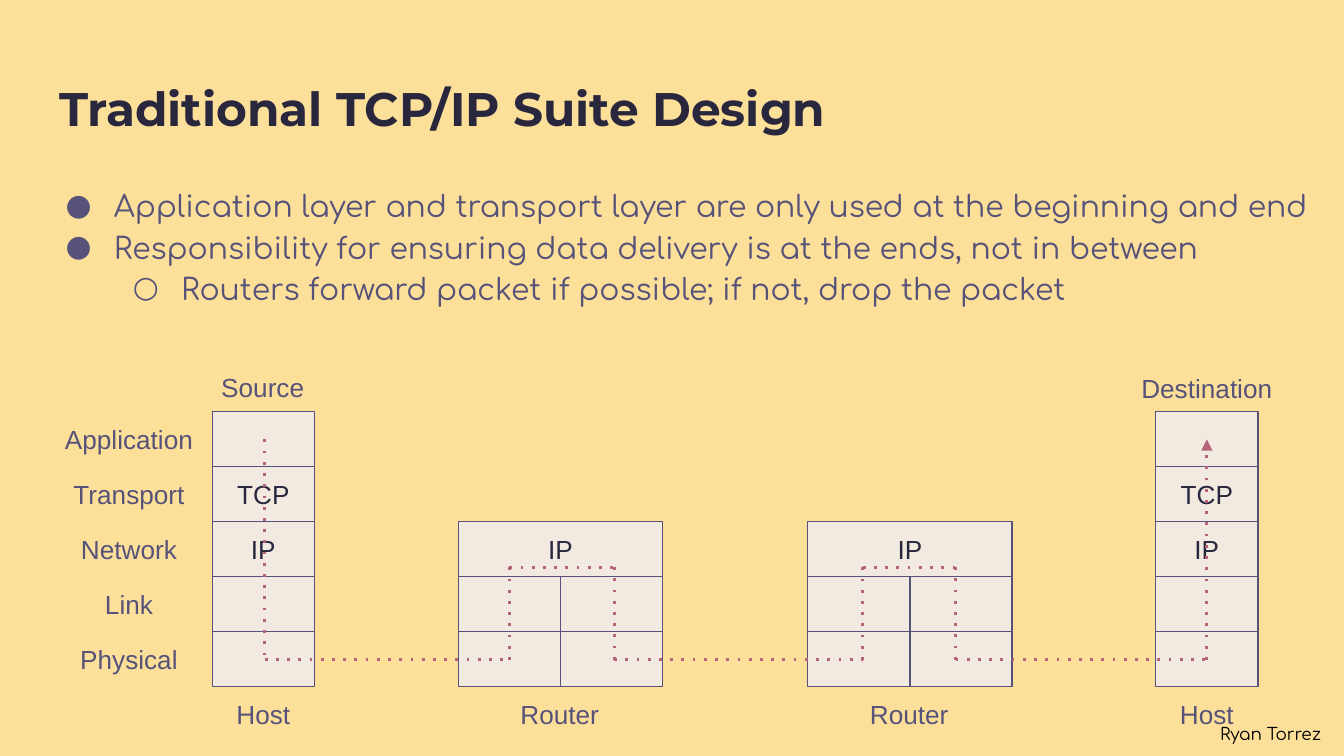
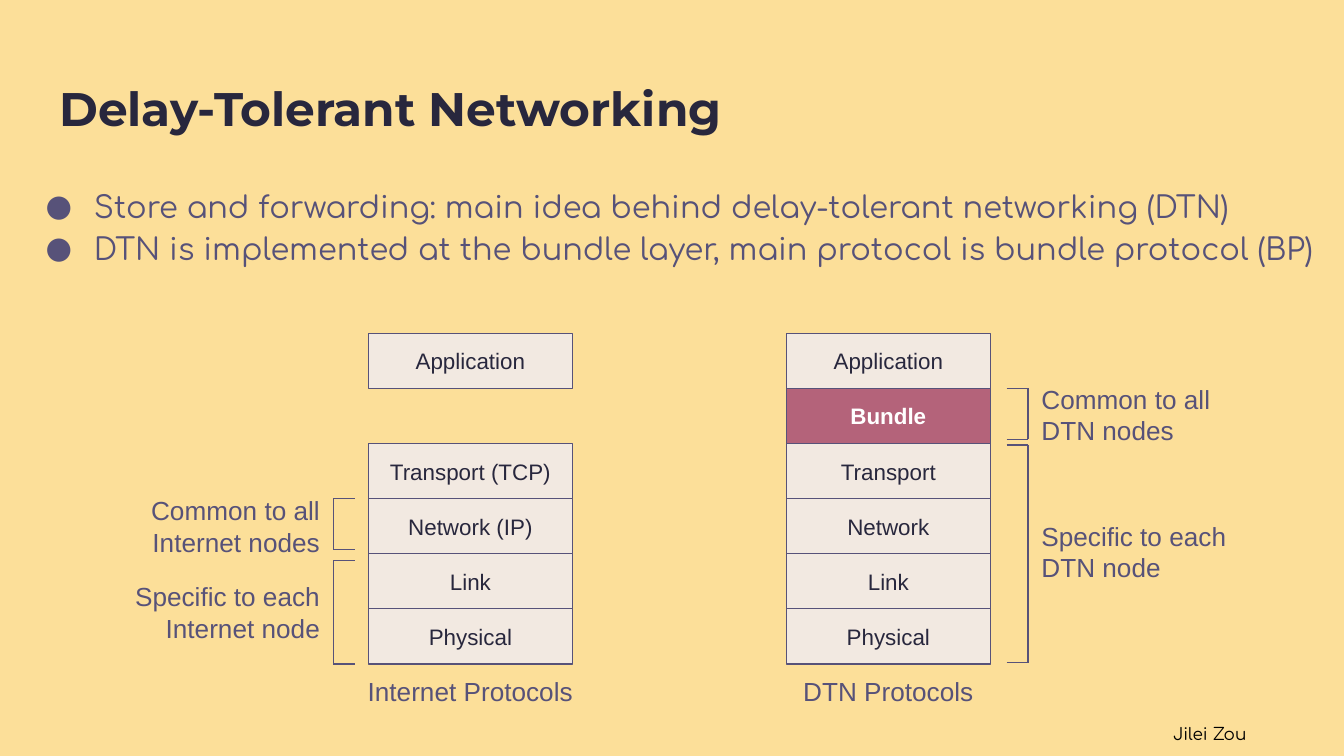
"""Builds two slides on the TCP/IP suite and delay-tolerant networking."""
from itertools import pairwise

from lxml.etree import SubElement
from pptx import Presentation
from pptx.dml.color import RGBColor
from pptx.enum.shapes import MSO_CONNECTOR, MSO_SHAPE
from pptx.enum.text import MSO_ANCHOR as Anchor, MSO_AUTO_SIZE as AutoSize, PP_ALIGN as Align
from pptx.oxml.ns import qn
from pptx.util import Inches, Pt

COLORS = {
    "background": "FCDF99",
    "title": "28273D",
    "body": "575279",
    "cell": "F2E9E1",
    "accent": "B4637A",
    "white": "FFFFFF",
    "black": "000000",
}
TITLE_FONT, BODY_FONT, DIAGRAM_FONT = "Montserrat", "Comfortaa", "Arial"
SLIDE_WIDTH = 10
SLIDE_HEIGHT = SLIDE_WIDTH * 9 / 16
ROW = 0.41
CELL = 0.76
WIDE = 2 * CELL
BULLETS = "●○"


def rgb(name):
    return RGBColor.from_string(COLORS[name])


def set_frame(frame, anchor=Anchor.TOP, auto_size=AutoSize.NONE):
    frame.word_wrap = True
    frame.auto_size = auto_size
    frame.vertical_anchor = anchor
    frame.margin_left = frame.margin_right = Inches(0.1)
    frame.margin_top = frame.margin_bottom = Inches(0.1)


def add_run(para, text, font, size, color, bold=False):
    span = para.add_run()
    span.text = text
    span.font.name = font
    span.font.size = Pt(size)
    span.font.bold = bold
    span.font.color.rgb = rgb(color)


def add_box(page, left, top, width, height):
    return page.shapes.add_textbox(Inches(left), Inches(top), Inches(width), Inches(height))


def add_page(deck, title):
    page = deck.slides.add_slide(deck.slide_layouts[5])
    box = page.shapes.title
    box.left, box.top, box.width, box.height = map(Inches, (0.34, 0.49, 9.32, 0.63))
    set_frame(box.text_frame)
    para = box.text_frame.paragraphs[0]
    para.alignment = Align.LEFT
    add_run(para, title, TITLE_FONT, 25.2, "title", bold=True)
    return page


def add_bullets(page, left, width, height, size, items):
    frame = add_box(page, left, 1.26, width, height).text_frame
    set_frame(frame)
    for index, (level, text) in enumerate(items):
        para = frame.add_paragraph() if index else frame.paragraphs[0]
        para.level = level
        para.line_spacing = 1.15
        props = para._p.get_or_add_pPr()
        props.set("marL", str(Inches(0.5 * (level + 1))))
        props.set("indent", str(Inches(-0.36)))
        color = SubElement(props, qn("a:buClr"))
        SubElement(color, qn("a:srgbClr"), val=COLORS["body"])
        SubElement(props, qn("a:buFont"), typeface=BODY_FONT)
        SubElement(props, qn("a:buChar"), char=BULLETS[level])
        add_run(para, text, BODY_FONT, size, "body")


def add_label(page, text, left, top, width, height=ROW, align=Align.CENTER):
    frame = add_box(page, left, top, width, height).text_frame
    set_frame(frame, Anchor.MIDDLE)
    para = frame.paragraphs[0]
    para.alignment = align
    add_run(para, text, DIAGRAM_FONT, 14, "body")


def add_cell(page, text, left, top, width, size=14, highlight=False):
    cell = page.shapes.add_shape(
        MSO_SHAPE.RECTANGLE, Inches(left), Inches(top), Inches(width), Inches(ROW))
    cell.shadow.inherit = False
    cell.fill.solid()
    cell.fill.fore_color.rgb = rgb("accent" if highlight else "cell")
    cell.line.color.rgb = rgb("body")
    cell.line.width = Pt(0.75)
    if text:
        set_frame(cell.text_frame, Anchor.MIDDLE)
        para = cell.text_frame.paragraphs[0]
        para.alignment = Align.CENTER
        add_run(para, text, DIAGRAM_FONT, size, "white" if highlight else "title", highlight)


def add_line(page, start, end, color, width, dotted=False, arrow=False):
    line = page.shapes.add_connector(
        MSO_CONNECTOR.STRAIGHT, *map(Inches, (*start, *end)))
    line.line.color.rgb = rgb(color)
    line.line.width = Pt(width)
    props = line._element.spPr
    stroke = props.find(qn("a:ln"))
    if dotted:
        SubElement(stroke, qn("a:prstDash"), val="dot")
    if arrow:
        SubElement(stroke, qn("a:tailEnd"), type="triangle")
    SubElement(props, qn("a:effectLst"))


def add_route(page, points):
    legs = list(pairwise(points))
    for number, (start, end) in enumerate(legs, 1):
        add_line(page, start, end, "accent", 1.5, dotted=True, arrow=number == len(legs))


def add_bracket(page, spine, tip, top, bottom):
    add_line(page, (spine, top), (spine, bottom), "body", 0.75)
    for y in (top, bottom):
        add_line(page, (tip, y), (spine, y), "body", 0.75)


def add_author(page, name, left):
    frame = add_box(page, left, 5.31, 1.47, 0.35).text_frame
    set_frame(frame, auto_size=AutoSize.SHAPE_TO_FIT_TEXT)
    add_run(frame.paragraphs[0], name, BODY_FONT, 9, "black")


def add_host(page, left, tops):
    for text, top in zip(("", "TCP", "IP", "", ""), tops):
        add_cell(page, text, left, top, CELL)
    add_label(page, "Host", left, tops[-1] + ROW, CELL)


def add_router(page, left, tops):
    for top in tops[3:]:
        for column in range(2):
            add_cell(page, "", left + column * CELL, top, CELL)
    add_cell(page, "IP", left, tops[2], WIDE)
    add_label(page, "Router", left + 0.28, tops[-1] + ROW, 0.95)


def add_stack(page, left, layers, caption):
    top = 2.48
    for row, text in enumerate(layers):
        if text:
            add_cell(page, text, left, top + row * ROW, WIDE, 12, text == "Bundle")
    add_label(page, caption, left - 0.11, top + len(layers) * ROW, 1.74)


def build_tcp_page(deck):
    page = add_page(deck, "Traditional TCP/IP Suite Design")
    add_bullets(page, 0.25, 9.66, 1.11, 16, [
        (0, "Application layer and transport layer are only used at the beginning and end"),
        (0, "Responsibility for ensuring data delivery is at the ends, not in between"),
        (1, "Routers forward packet if possible; if not, drop the packet"),
    ])
    layers = ("Application", "Transport", "Network", "Link", "Physical")
    tops = [3.06 + row * ROW for row in range(len(layers))]
    for text, top in zip(layers, tops):
        add_label(page, text, 0.34, top, 1.24)
    for left in (1.58, 8.6):
        add_host(page, left, tops)
    for left in (3.41, 6.01):
        add_router(page, left, tops)
    add_label(page, "Source", 1.51, 2.7, 0.89, 0.36)
    add_label(page, "Destination", 8.36, 2.71, 1.24, 0.36)

    start, wire, hop = 3.27, 4.91, 4.22
    points = [(1.97, start), (1.97, wire)]
    for enter, leave in ((3.79, 4.57), (6.42, 7.11)):
        points += [(enter, wire), (enter, hop), (leave, hop), (leave, wire)]
    add_route(page, points + [(8.98, wire), (8.98, start)])
    add_author(page, "Ryan Torrez", 8.98)


def build_dtn_page(deck):
    page = add_page(deck, "Delay-Tolerant Networking")
    add_bullets(page, 0.1, 9.79, 0.89, 16.3, [
        (0, "Store and forwarding: main idea behind delay-tolerant networking (DTN)"),
        (0, "DTN is implemented at the bundle layer, main protocol is bundle protocol (BP)"),
    ])
    add_stack(page, 2.74, ("Application", None, "Transport (TCP)", "Network (IP)",
                           "Link", "Physical"), "Internet Protocols")
    add_stack(page, 5.85, ("Application", "Bundle", "Transport", "Network",
                           "Link", "Physical"), "DTN Protocols")

    inner, outer = 2.48, 7.65
    for text, top, bottom, label_top, width in (
            ("Common to all Internet nodes", 3.71, 4.09, 3.71, 1.52),
            ("Specific to each Internet node", 4.17, 4.94, 4.35, 1.74)):
        add_bracket(page, inner, inner + 0.16, top, bottom)
        add_label(page, text, inner - width, label_top, width, align=Align.RIGHT)
    for text, top, bottom, label_top, width in (
            ("Common to all DTN nodes", 2.89, 3.27, 2.88, 1.52),
            ("Specific to each DTN node", 3.31, 4.93, 3.9, 1.61)):
        add_bracket(page, outer, outer - 0.16, top, bottom)
        add_label(page, text, outer, label_top, width, align=Align.LEFT)
    add_author(page, "Jilei Zou", 8.63)


def main():
    deck = Presentation()
    deck.slide_width, deck.slide_height = Inches(SLIDE_WIDTH), Inches(SLIDE_HEIGHT)
    fill = deck.slide_master.background.fill
    fill.solid()
    fill.fore_color.rgb = rgb("background")
    build_tcp_page(deck)
    build_dtn_page(deck)
    deck.save("out.pptx")


if __name__ == "__main__":
    main()
